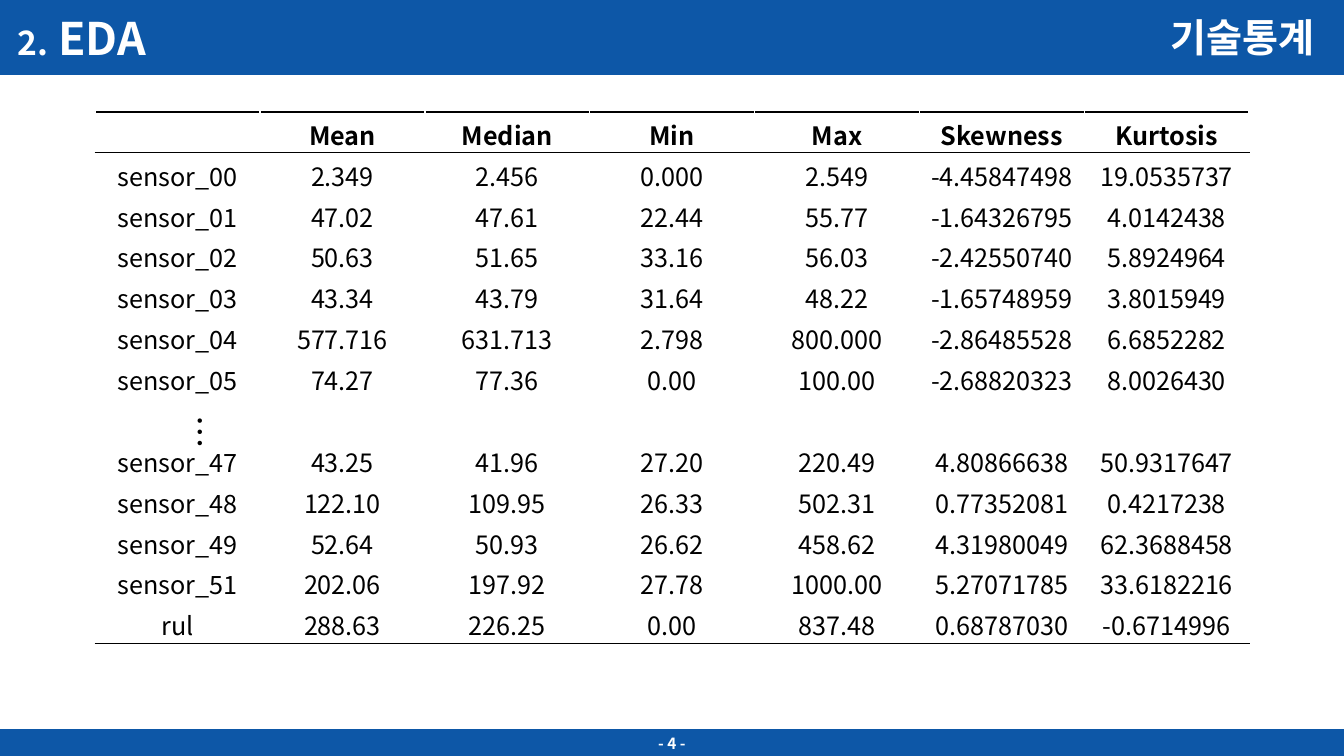
"""Build the descriptive statistics slide."""
from lxml.etree import SubElement
from pptx import Presentation
from pptx.dml.color import RGBColor
from pptx.enum.shapes import MSO_SHAPE
from pptx.enum.text import MSO_ANCHOR, MSO_AUTO_SIZE, PP_ALIGN
from pptx.oxml import parse_xml
from pptx.oxml.ns import nsdecls, qn
from pptx.util import Cm, Pt

FONT = "Noto Sans CJK KR"
BLUE, WHITE, BLACK = "0D57A7", "FFFFFF", "000000"
WIDTH, HEIGHT = 33.87, 19.05
HEADER_H, FOOTER_H = 1.88, 0.66
STATS = [row.split(",") for row in """\
,Mean,Median,Min,Max,Skewness,Kurtosis
sensor_00,2.349,2.456,0.000,2.549,-4.45847498,19.0535737
sensor_01,47.02,47.61,22.44,55.77,-1.64326795,4.0142438
sensor_02,50.63,51.65,33.16,56.03,-2.42550740,5.8924964
sensor_03,43.34,43.79,31.64,48.22,-1.65748959,3.8015949
sensor_04,577.716,631.713,2.798,800.000,-2.86485528,6.6852282
sensor_05,74.27,77.36,0.00,100.00,-2.68820323,8.0026430
,,,,,,
sensor_47,43.25,41.96,27.20,220.49,4.80866638,50.9317647
sensor_48,122.10,109.95,26.33,502.31,0.77352081,0.4217238
sensor_49,52.64,50.93,26.62,458.62,4.31980049,62.3688458
sensor_51,202.06,197.92,27.78,1000.00,5.27071785,33.6182216
rul,288.63,226.25,0.00,837.48,0.68787030,-0.6714996""".splitlines()]


def color(value):
    """Turn a hex string into a colour."""
    return RGBColor.from_string(value)


def write(tf, text, size, ink=BLACK, bold=False, align=PP_ALIGN.CENTER):
    """Append a formatted run to the first paragraph of a text frame."""
    p = tf.paragraphs[0]
    p.alignment = align
    r = p.add_run()
    r.text = text
    r.font.name, r.font.size, r.font.bold = FONT, Pt(size), bold
    r.font.color.rgb = color(ink)
    SubElement(r.font._element, qn("a:ea"), typeface=FONT)


def place(sp, box):
    """Move a shape to a box given in centimetres."""
    sp.left, sp.top, sp.width, sp.height = map(Cm, box)


def paint_band(sp):
    """Give a band its blue fill and line and centre its text vertically."""
    sp.fill.solid()
    sp.fill.fore_color.rgb = color(BLUE)
    sp.line.color.rgb = color(BLUE)
    sp.line.width = Pt(1)
    sp.text_frame.vertical_anchor = MSO_ANCHOR.MIDDLE


def add_text_box(s, box, text, size, **fmt):
    """Add a wrapping text box and return its text frame."""
    tf = s.shapes.add_textbox(*map(Cm, box)).text_frame
    tf.word_wrap = True
    write(tf, text, size, **fmt)
    return tf


def add_header(s, box):
    """Set the section title in the top band with the topic at its right."""
    x, y, w, h = box
    title = s.shapes.title
    place(title, box)
    paint_band(title)
    tf = title.text_frame
    tf.auto_size = MSO_AUTO_SIZE.NONE
    tf.margin_left = Cm(0.44)
    for text, size in (("2.", 24), (" EDA", 32)):
        write(tf, text, size, ink=WHITE, bold=True, align=PP_ALIGN.LEFT)
    add_text_box(s, (x + w - 5.92, y + 0.22, 5.44, h - 0.43), "기술통계", 28,
                 ink=WHITE, bold=True, align=PP_ALIGN.RIGHT)


def add_footer(s, box):
    """Add the bottom band with the page number."""
    sp = s.shapes.add_shape(MSO_SHAPE.RECTANGLE, *map(Cm, box))
    sp.shadow.inherit = False
    paint_band(sp)
    write(sp.text_frame, "- 4 -", 11, ink=WHITE, bold=True)


def set_borders(cell, top, bottom):
    """Draw white side borders and the given top and bottom borders."""
    tc_pr = cell._tc.get_or_add_tcPr()
    sides = (("L", WHITE), ("R", WHITE), ("T", top), ("B", bottom))
    for i, (side, ink) in enumerate(sides):
        tc_pr.insert(i, parse_xml(
            f'<a:ln{side} {nsdecls("a")} w="12700"><a:solidFill>'
            f'<a:srgbClr val="{ink}"/></a:solidFill></a:ln{side}>'))


def add_stats_table(s, box):
    """Add the statistics table, ruled above and below the header and at the end."""
    x, y, w, h = box
    n_rows, n_cols = len(STATS), len(STATS[0])
    table = s.shapes.add_table(n_rows, n_cols, *map(Cm, box)).table
    table.first_row = table.horz_banding = False
    for row in table.rows:
        row.height = Cm(h / n_rows)
    for col in table.columns:
        col.width = Cm(w / n_cols)
    ruled = (0, 1, n_rows)
    for i, values in enumerate(STATS):
        top, bottom = (BLACK if edge in ruled else WHITE for edge in (i, i + 1))
        for j, value in enumerate(values):
            cell = table.cell(i, j)
            cell.vertical_anchor = MSO_ANCHOR.MIDDLE
            cell.margin_left = cell.margin_right = cell.margin_top = Cm(0.1)
            cell.margin_bottom = 0
            cell.fill.solid()
            cell.fill.fore_color.rgb = color(WHITE)
            set_borders(cell, top, bottom)
            if value:
                write(cell.text_frame, value, 18, bold=i == 0)
    gap_top = y + STATS.index([""] * n_cols) * h / n_rows
    tf = add_text_box(s, (x + 1.75, gap_top + 0.2, 1.55, 0.66), "…", 24,
                      align=PP_ALIGN.LEFT)
    tf._txBody.bodyPr.set("vert", "eaVert")


prs = Presentation()
prs.slide_width, prs.slide_height = Cm(WIDTH), Cm(HEIGHT)
s = prs.slides.add_slide(prs.slide_layouts[5])
add_header(s, (0, 0, WIDTH, HEADER_H))
add_footer(s, (0, HEIGHT - FOOTER_H, WIDTH, FOOTER_H))
add_stats_table(s, (2.4, 2.82, 29.08, 13.39))
prs.save("out.pptx")
